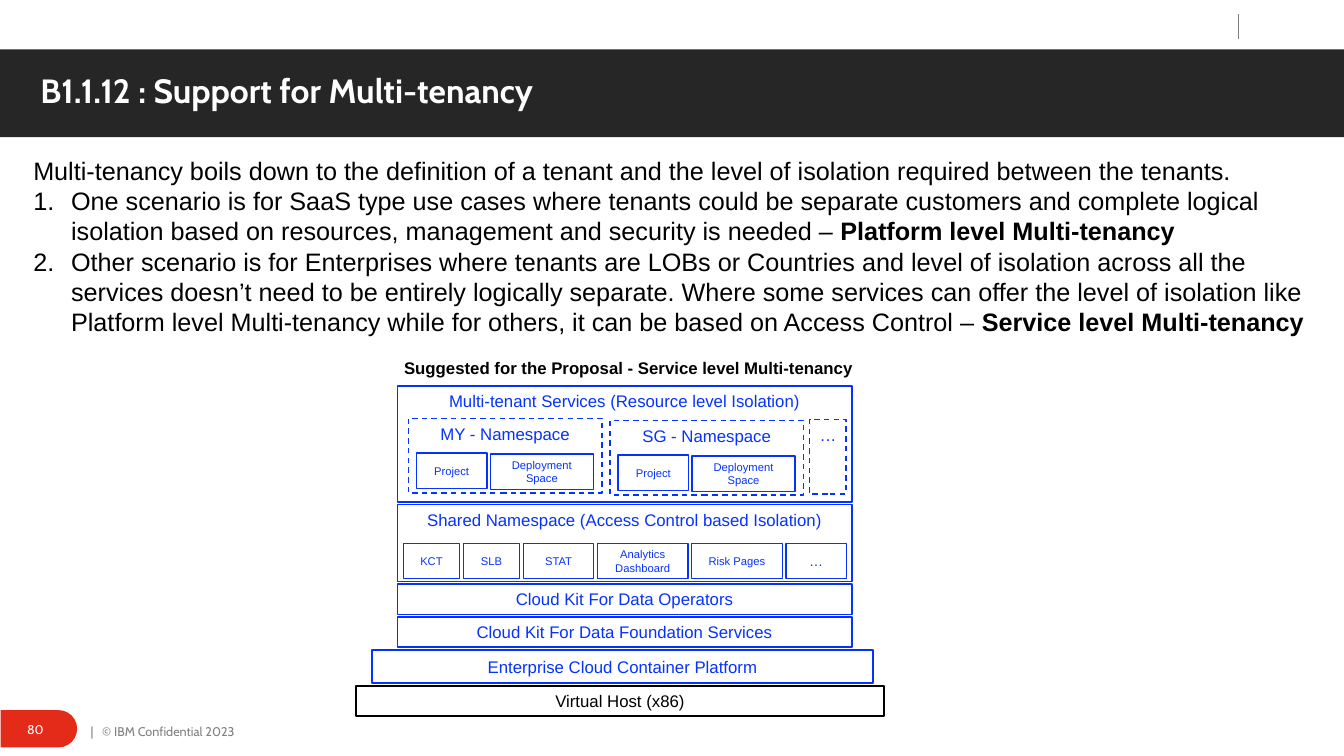
import pptx
import pptx.util
import pptx.dml.color
import pptx.enum.dml
import pptx.enum.shapes
import pptx.enum.text
from lxml import etree

ANCHOR = pptx.enum.text.MSO_ANCHOR
ALIGN = pptx.enum.text.PP_ALIGN
SHAPE = pptx.enum.shapes.MSO_SHAPE
BLUE, BLACK, WHITE, GREY = "0532FD", "000000", "FFFFFF", "808080"
GAP = 0.27  # between tiers, in grid rows


def grid(*cells):
    """Turn grid columns and rows, ten to the inch, into lengths."""
    return [pptx.util.Inches(cell / 10) for cell in cells]


def tint(code):
    return pptx.dml.color.RGBColor.from_string(code)


def style(para, size, color, face="Arial", bold=False):
    font = para.font
    font.size, font.name, font.bold = pptx.util.Pt(size), face, bold
    font.color.rgb = tint(color)


def place(shape, *cells):
    shape.left, shape.top, shape.width, shape.height = grid(*cells)


def block(slide, kind, cells, fill):
    """Plain filled shape."""
    shape = slide.shapes.add_shape(kind, *grid(*cells))
    shape.shadow.inherit = False
    shape.fill.solid()
    shape.fill.fore_color.rgb = tint(fill)
    shape.line.fill.background()
    return shape


def box(slide, text, cells, size=8, color=BLUE, top=False, dash=False):
    """Outlined box with a centred label."""
    shape = slide.shapes.add_shape(SHAPE.RECTANGLE, *grid(*cells))
    shape.shadow.inherit = False
    shape.fill.background()
    shape.line.color.rgb = tint(color)
    shape.line.width = pptx.util.Pt(1)
    if dash:
        shape.line.dash_style = pptx.enum.dml.MSO_LINE.DASH
    frame = shape.text_frame
    frame.vertical_anchor = ANCHOR.TOP if top else ANCHOR.MIDDLE
    para = frame.paragraphs[0]
    para.text, para.alignment = text, ALIGN.CENTER
    style(para, size, color)


def label(slide, text, cells, size, color, face="Arial", bold=False,
          inset=1, align=ALIGN.LEFT, anchor=ANCHOR.MIDDLE):
    frame = slide.shapes.add_textbox(*grid(*cells)).text_frame
    frame.word_wrap = True
    frame.vertical_anchor = anchor
    frame.margin_left = grid(inset)[0]
    para = frame.paragraphs[0]
    para.text, para.alignment = text, align
    style(para, size, color, face, bold)


def bullet(para, tag, indent=0, **attrs):
    props = para._p.get_or_add_pPr()
    props.set("marL", str(grid(indent)[0]))
    props.set("indent", str(grid(-indent)[0]))
    etree.SubElement(props, pptx.oxml.ns.qn(tag), **attrs)


def header(slide):
    bar = block(slide, SHAPE.RECTANGLE, (0, 4.9, 133.3, 8.7), "262626")
    title = slide.shapes.title
    title.element.addprevious(bar.element)
    place(title, 4, 6.9, 125.1, 4.7)
    frame = title.text_frame
    frame.margin_left = 0
    frame.vertical_anchor = ANCHOR.TOP
    para = frame.paragraphs[0]
    para.text = "B1.1.12 : Support for Multi-tenancy"
    para.alignment, para.line_spacing = ALIGN.LEFT, 0.9
    style(para, 24, WHITE, "Cabin", True)
    # Short rule above the bar
    rule = slide.shapes.add_connector(
        pptx.enum.shapes.MSO_CONNECTOR.STRAIGHT, *grid(122.8, 1.4, 122.8, 3.9))
    rule.line.color.rgb = tint(GREY)
    rule.line.width = pptx.util.Pt(0.5)
    etree.SubElement(rule.element.spPr, pptx.oxml.ns.qn("a:effectLst"))


def footer(slide):
    tab = block(slide, SHAPE.ROUND_2_SAME_RECTANGLE, (2, 68.5, 3.7, 7.6), "E42A18")
    tab.rotation = 90
    tab.adjustments[0], tab.adjustments[1] = 0.5, 0
    label(slide, "80", (1.7, 70.4, 5.9, 4), 9, WHITE, "Cabin")
    label(slide, "|\u00a0\u00a0 © IBM Confidential 2023".replace("\u00a0", " "),
          (9, 71.3, 19.9, 2.5), 9, GREY, "Cabin", inset=0)


def body(slide):
    holder = slide.placeholders[1]
    place(holder, 2.3, 14.9, 128.2, 19.2)
    frame = holder.text_frame
    frame.auto_size = pptx.enum.text.MSO_AUTO_SIZE.NONE
    frame.vertical_anchor = ANCHOR.TOP
    items = [
        ("Multi-tenancy boils down to the definition of a tenant and the level of "
         "isolation required between the tenants.", ""),
        ("One scenario is for SaaS type use cases where tenants could be separate "
         "customers and complete logical isolation based on resources, management "
         "and security is needed – ", "Platform level Multi-tenancy"),
        ("Other scenario is for Enterprises where tenants are LOBs or Countries and "
         "level of isolation across all the services doesn’t need to be entirely "
         "logically separate. Where some services can offer the level of isolation "
         "like Platform level Multi-tenancy while for others, it can be based on "
         "Access Control – ", "Service level Multi-tenancy"),
    ]
    for order, (text, strong) in enumerate(items):
        para = frame.add_paragraph() if order else frame.paragraphs[0]
        para.space_before = pptx.util.Pt(0)
        if order:
            bullet(para, "a:buAutoNum", 3.75, type="arabicPeriod")
        else:
            bullet(para, "a:buNone")
        style(para, 18, BLACK)
        para.add_run().text = text
        if strong:
            run = para.add_run()
            run.text, run.font.bold = strong, True


def tiers(slide):
    """Platform stack, from the services down to the host."""
    rows = [
        ("Multi-tenant Services (Resource level Isolation)", 39.4, 45.1, 11.5, BLUE),
        ("Shared Namespace (Access Control based Isolation)", 39.4, 45.1, 7.6, BLUE),
        ("Cloud Kit For Data Operators", 39.4, 45.1, 3, BLUE),
        ("Cloud Kit For Data Foundation Services", 39.4, 45.1, 3, BLUE),
        ("Enterprise Cloud Container Platform", 36.9, 49.7, 3.3, BLUE),
        ("Virtual Host (x86)", 35.3, 52.4, 3, BLACK),
    ]
    top = 38.3
    for order, (text, left, width, height, color) in enumerate(rows):
        box(slide, text, (left, top, width, height), 12, color, top=order < 2)
        top += height + GAP


def tenant(slide, name, left, top):
    box(slide, name, (left, top, 19.2, 7.4), 12, top=True, dash=True)
    box(slide, "Project", (left + 0.8, top + 3.45, 7, 3.5))
    box(slide, "Deployment Space", (left + 8.15, top + 3.55, 10.2, 3.5))


def shared(slide):
    left = 40
    names = [("KCT", 5.6), ("SLB", 5.6), ("STAT", 7), ("Analytics Dashboard", 9),
             ("Risk Pages", 9), ("…", 6)]
    for name, width in names:
        box(slide, name, (left, 53.9, width, 3.5), 10 if name == "…" else 8)
        left += width + 0.35


def main():
    deck = pptx.Presentation()
    deck.slide_width, deck.slide_height = grid(133.3, 75)
    slide = deck.slides.add_slide(deck.slide_layouts[1])
    footer(slide)
    header(slide)
    body(slide)
    # Stack diagram
    tiers(slide)
    tenant(slide, "MY - Namespace", 40.5, 41.5)
    tenant(slide, "SG - Namespace", 60.5, 41.7)
    box(slide, "…", (80.3, 41.6, 3.6, 7.4), 12, top=True, dash=True)
    shared(slide)
    label(slide, "Suggested for the Proposal - Service level Multi-tenancy",
          (38.2, 35, 48.3, 3), 12, BLACK, bold=True,
          align=ALIGN.CENTER, anchor=ANCHOR.TOP)
    deck.save("out.pptx")


if __name__ == "__main__":
    main()
